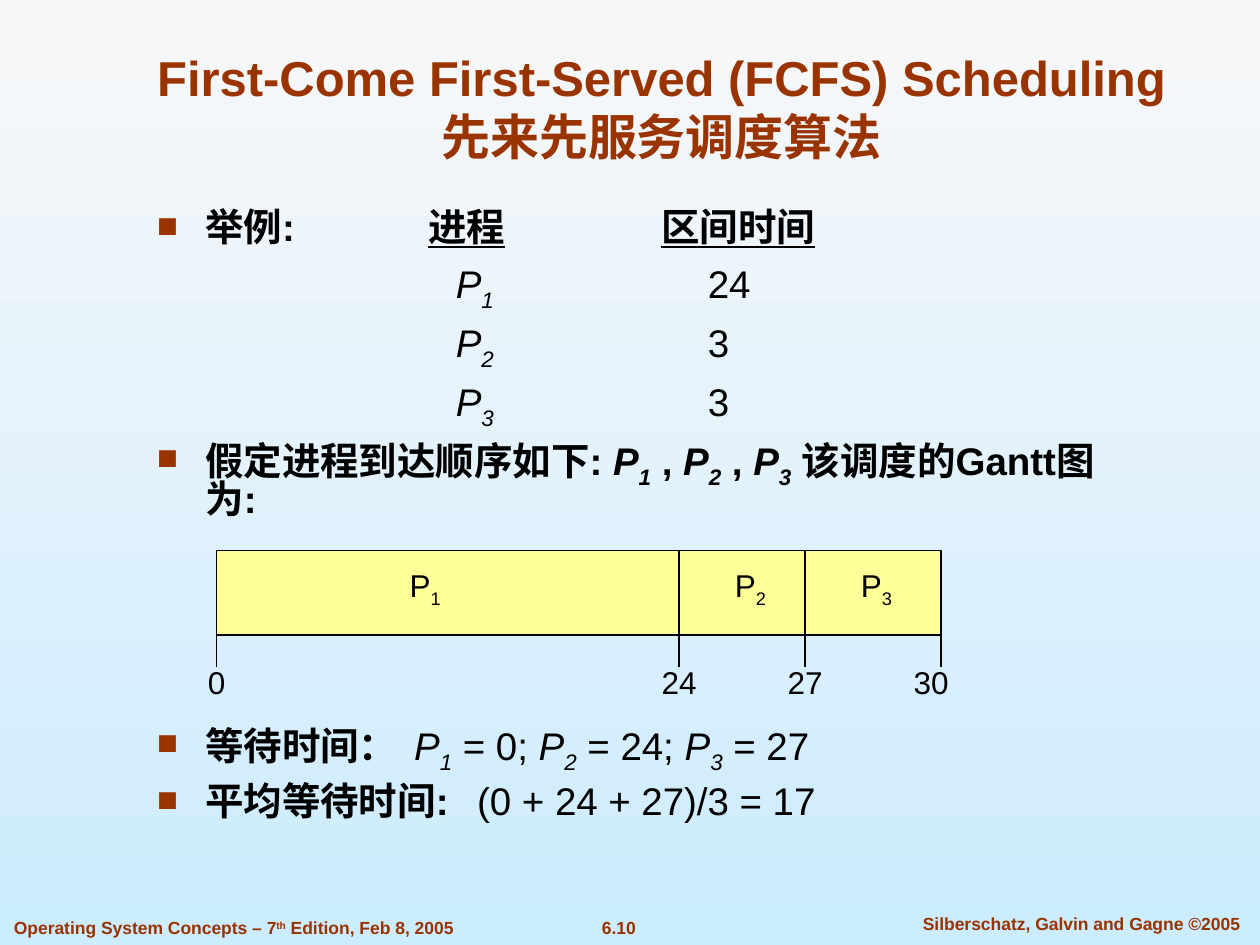
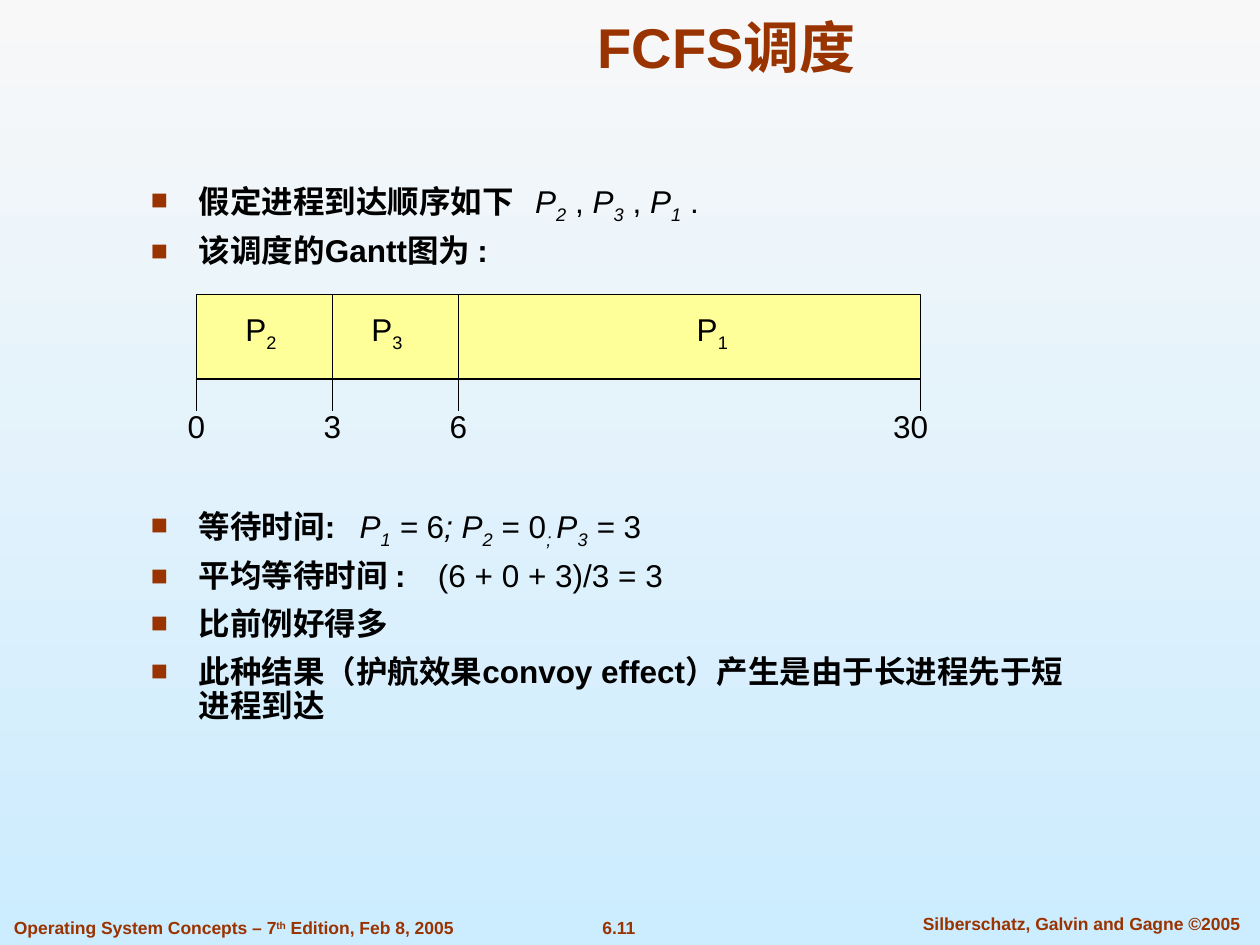
from dataclasses import dataclass

from lxml import etree
from pptx import Presentation
from pptx import util as u
from pptx.dml.color import RGBColor
from pptx.enum import shapes, text
from pptx.oxml import ns


@dataclass(frozen=True)
class Theme:
    """Colours, font and type sizes shared by the slides."""
    font: str = "Arial"
    sky: tuple = ("F8F8F8", "CCECFF")
    rust: str = "993300"
    ink: str = "000000"
    bar: str = "FFFF99"
    line: float = 0.75
    footer: int = 10
    label: int = 18


T = Theme()
ALIGN, ANCHOR = text.PP_ALIGN, text.MSO_ANCHOR
INDENT = 0.97
BAR_W, BAR_H, TICK = 14.6, 1.7, 0.64
EDGES = [0, 9.32, 11.86, BAR_W]
CENTRES = [4.2, 10.76, 13.3]


def rgb(color):
    """Return a colour object for a hex string."""
    return RGBColor.from_string(color)


def set_attrs(obj, **values):
    """Set several attributes of an object."""
    for name, value in values.items():
        setattr(obj, name, value)


def proc(n, style=""):
    """Return the runs of a process name with its subscript."""
    return [("P", style + "i"), (str(n), style + "is")]


def add_runs(p, runs, size, color):
    """Add runs; style letters are b, i, u, s (subscript) and t (superscript)."""
    for words, style in runs:
        r = p.add_run()
        r.text = words
        set_attrs(r.font, name=T.font, size=u.Pt(size), bold="b" in style,
                  italic="i" in style, underline="u" in style)
        r.font.color.rgb = rgb(color)
        for letter, shift in (("s", "-25000"), ("t", "30000")):
            if letter in style:
                r._r.get_or_add_rPr().set("baseline", shift)


def add_box(parent, box, anchor=ANCHOR.TOP, wrap=True):
    """Add a text box given in centimetres and return its text frame."""
    tf = parent.add_textbox(*map(u.Cm, box)).text_frame
    set_attrs(tf, word_wrap=wrap, vertical_anchor=anchor)
    return tf


def add_label(parent, box, runs, size=T.label, color=T.ink,
              align=ALIGN.CENTER, anchor=ANCHOR.MIDDLE):
    """Add a one-line label."""
    p = add_box(parent, box, anchor, wrap=False).paragraphs[0]
    p.alignment = align
    add_runs(p, runs, size, color)


def add_title(s, box, lines, size):
    """Add the slide title, resting on the bottom of its box."""
    p = add_box(s.shapes, box, ANCHOR.BOTTOM).paragraphs[0]
    p.alignment = ALIGN.CENTER
    for i, line in enumerate(lines):
        if i:
            p.add_line_break()
        add_runs(p, [(line, "b")], size, T.rust)


def add_footer(s, number):
    """Add the book title, page number and copyright line."""
    book = [("Operating System Concepts – 7", "b"), ("th", "bt"),
            (" Edition, Feb 8, 2005", "b")]
    rights = [("Silberschatz, Galvin and Gagne ©2005", "b")]
    for box, runs, align in (
            ((11.23, 18.36, 2.49, 0.69), [(number, "b")], ALIGN.CENTER),
            ((18.03, 18.29, 7.54, 0.69), rights, ALIGN.CENTER),
            ((0.03, 18.36, 9.37, 0.69), book, ALIGN.LEFT)):
        add_label(s.shapes, box, runs, T.footer, T.rust, align, ANCHOR.TOP)


def format_paragraph(p, bullet, tabs):
    """Give a paragraph its square bullet and tab stops."""
    pPr = p._p.get_or_add_pPr()

    def child(parent, tag, **attrs):
        return etree.SubElement(parent, ns.qn("a:" + tag), attrs)

    if bullet:
        pPr.set("marL", str(u.Cm(INDENT)))
        pPr.set("indent", str(-u.Cm(INDENT)))
        child(child(pPr, "buClr"), "srgbClr", val=T.rust)
        child(pPr, "buSzPct", val="90000")
        child(pPr, "buFont", typeface=T.font)
        child(pPr, "buChar", char="■")
    if tabs:
        stops = child(pPr, "tabLst")
        for tab in tabs:
            child(stops, "tab", pos=str(u.Cm(tab)), algn="l")


def add_body(s, box, items, size, spacing, before):
    """Add paragraphs given as (runs, bullet, tab stops)."""
    tf = add_box(s.shapes, box)
    for i, (runs, bullet, tabs) in enumerate(items):
        p = tf.add_paragraph() if i else tf.paragraphs[0]
        format_paragraph(p, bullet, tabs)
        set_attrs(p, line_spacing=spacing, space_before=u.Pt(before if i else 0))
        add_runs(p, runs, size, T.ink)


def add_line(parent, x, y, length):
    """Add a thin vertical line."""
    c = parent.add_connector(shapes.MSO_CONNECTOR.STRAIGHT, u.Cm(x), u.Cm(y),
                             u.Cm(x), u.Cm(y + length))
    c.line.width = u.Pt(T.line)
    c.line.color.rgb = rgb(T.ink)
    etree.SubElement(c._element.spPr, ns.qn("a:effectLst"))


def add_gantt(s, left, top, order, times, edges, centres):
    """Add a Gantt bar with process names, separators, ticks and times."""
    group = s.shapes.add_group_shape().shapes
    sp = group.add_shape(shapes.MSO_SHAPE.RECTANGLE,
                         *map(u.Cm, (left, top, BAR_W, BAR_H)))
    sp.shadow.inherit = False
    sp.fill.solid()
    sp.fill.fore_color.rgb = rgb(T.bar)
    sp.line.width = u.Pt(T.line)
    sp.line.color.rgb = rgb(T.ink)
    for n, x in zip(order, centres):
        add_label(group, (left + x - 0.57, top + 0.18, 1.14, 1.12),
                  [("P", ""), (str(n), "s")])
    for x in edges[1:-1]:
        add_line(group, left + x, top, BAR_H)
    for time, x in zip(times, edges):
        add_line(group, left + x, top + BAR_H, TICK)
        nudge = 0.2 if x == edges[-1] else 0
        add_label(group, (left + x - nudge - 0.61, top + 2.13, 1.22, 1.02),
                  [(str(time), "")])


def build_example(s):
    """Build the slide that serves the long process first."""
    add_title(s, (2.44, 0.28, 21.79, 3.18),
              ["First-Come First-Served (FCFS) Scheduling",
               "先来先服务调度算法"], 28)
    style = dict(size=22, spacing=0.8, before=9.6)
    head = [("举例:\t", "b"), ("进程", "bu"), ("\t", "b"), ("区间时间", "bu")]
    rows = [([("\t", ""), *proc(n), (f"\t{burst}", "")], False, (6.02, 11.1))
            for n, burst in enumerate((24, 3, 3), 1)]
    arrival = [("假定进程到达顺序如下: ", "b"), *proc(1, "b"), (" , ", "b"),
               *proc(2, "b"), (" , ", "b"), *proc(3, "b"),
               (" 该调度的Gantt图为:", "b")]
    add_body(s, (2.92, 4.14, 19.56, 6.8),
             [(head, True, (5.46, 10.16)), *rows, (arrival, True, ())], **style)
    add_gantt(s, 4.37, 11.1, (1, 2, 3), (0, 24, 27, 30), EDGES, CENTRES)
    waits = [("等待时间：\t", "b"), *proc(1), (" = 0; ", ""), *proc(2),
             (" = 24; ", ""), *proc(3), (" = 27", "")]
    mean = [("平均等待时间:\t", "b"), ("(0 + 24 + 27)/3 = 17", "")]
    add_body(s, (2.92, 14.53, 19.56, 2.4),
             [(waits, True, (5.18,)), (mean, True, (6.45,))], **style)


def build_reordered(s):
    """Build the slide that serves the long process last."""
    add_title(s, (5.44, 0.66, 18.42, 1.07), ["FCFS调度"], 32)
    style = dict(size=18, spacing=0.9, before=7.9)
    arrival = [("假定进程到达顺序如下\t", "b"), *proc(2), (" , ", ""), *proc(3),
               (" , ", ""), *proc(1), (" .", "")]
    add_body(s, (2.79, 3.56, 19.53, 2.2),
             [(arrival, True, (7.75,)),
              ([("该调度的Gantt图为 :", "b")], True, ())], **style)
    add_gantt(s, 3.96, 5.94, (2, 3, 1), (0, 3, 6, 30),
              [BAR_W - x for x in reversed(EDGES)],
              [BAR_W - x for x in reversed(CENTRES)])
    waits = [("等待时间:\t", "b"), *proc(1), (" =", "i"), (" 6", ""), ("; ", "i"),
             *proc(2), (" = 0", ""), ("; ", "is"), *proc(3), (" = ", "i"),
             ("3", "")]
    mean = [("平均等待时间 :\t", "b"), ("(6 + 0 + 3)/3 = 3", "")]
    convoy = "此种结果（护航效果convoy effect）产生是由于长进程先于短进程到达"
    add_body(s, (2.79, 10.11, 19.53, 5),
             [(waits, True, (4.21,)), (mean, True, (5.79,)),
              ([("比前例好得多", "b")], True, ()),
              ([(convoy, "b")], True, ())], **style)


def main():
    """Build and save the presentation."""
    prs = Presentation()
    set_attrs(prs, slide_width=u.Cm(25.4), slide_height=u.Cm(19.05))
    fill = prs.slide_master.background.fill
    fill.gradient()
    fill.gradient_angle = 270
    for stop, color in zip(fill.gradient_stops, T.sky):
        stop.color.rgb = rgb(color)
    for number, build in (("6.10", build_example), ("6.11", build_reordered)):
        s = prs.slides.add_slide(prs.slide_layouts[6])
        add_footer(s, number)
        build(s)
    prs.save("out.pptx")


if __name__ == "__main__":
    main()
